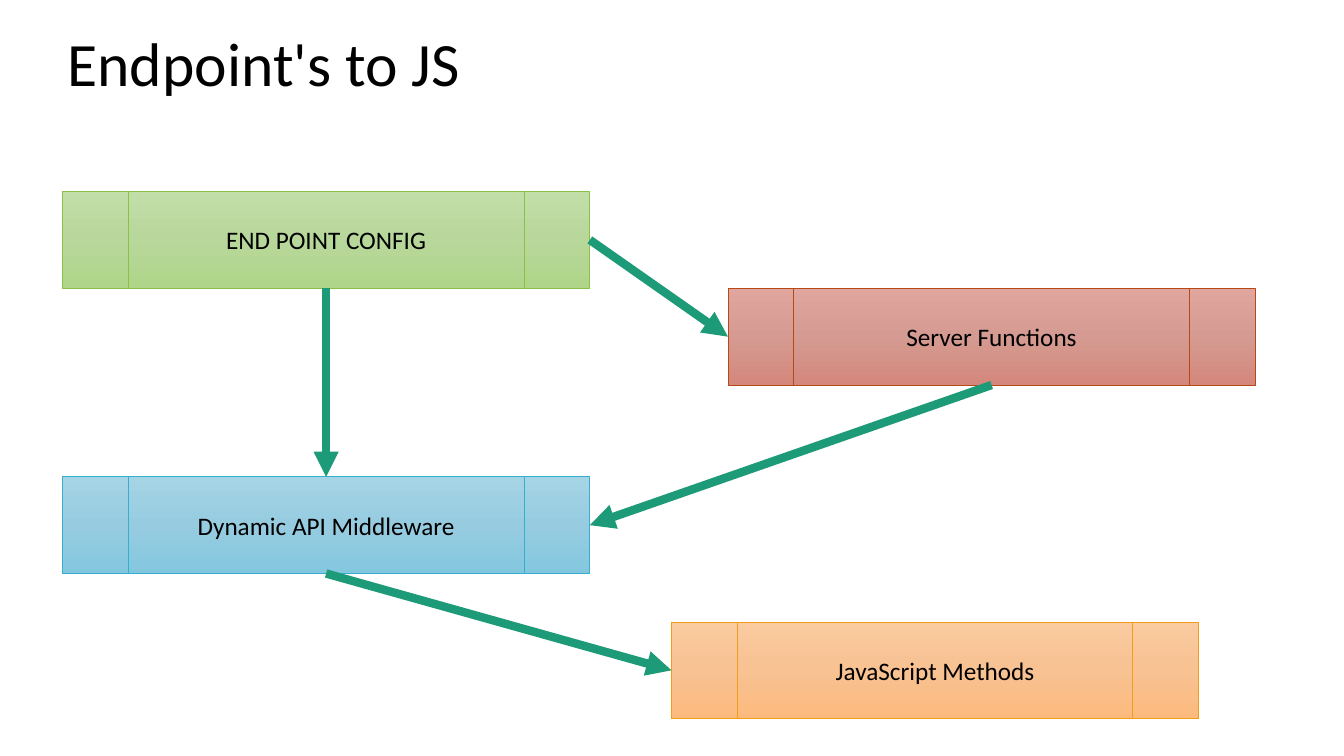
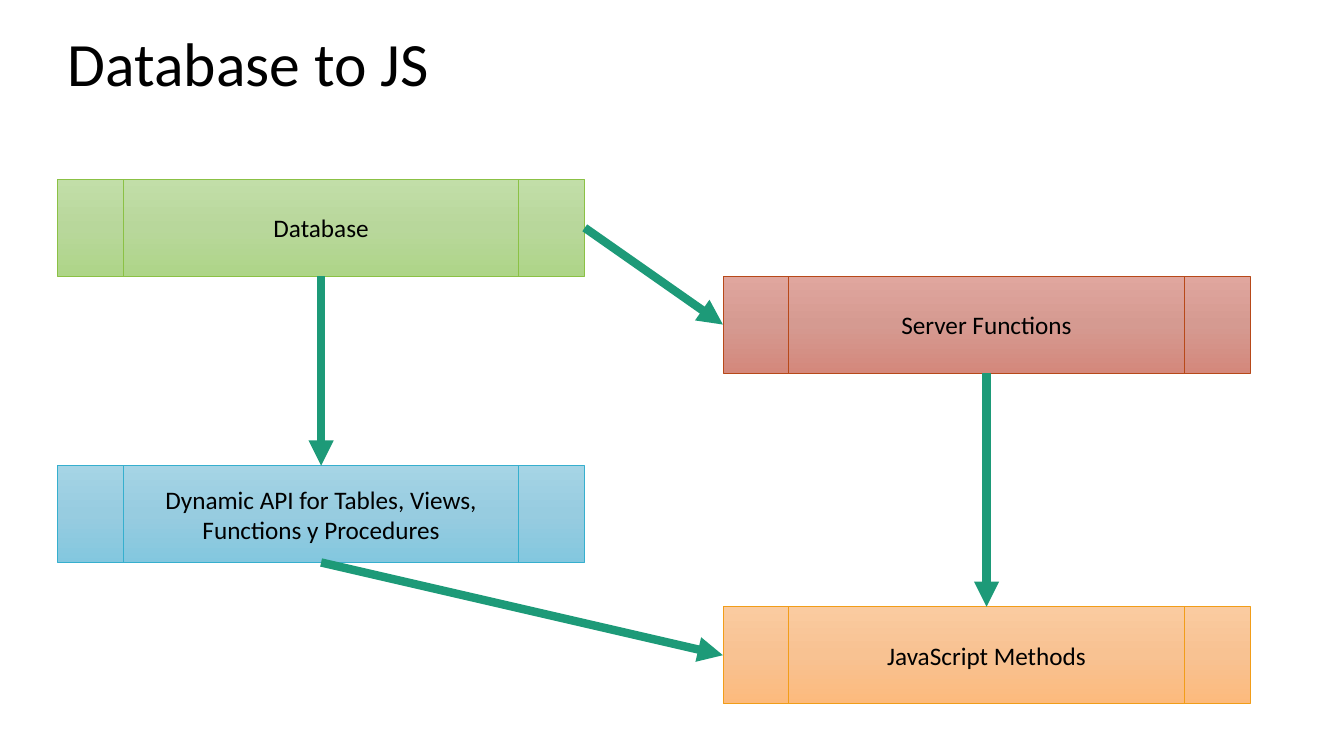
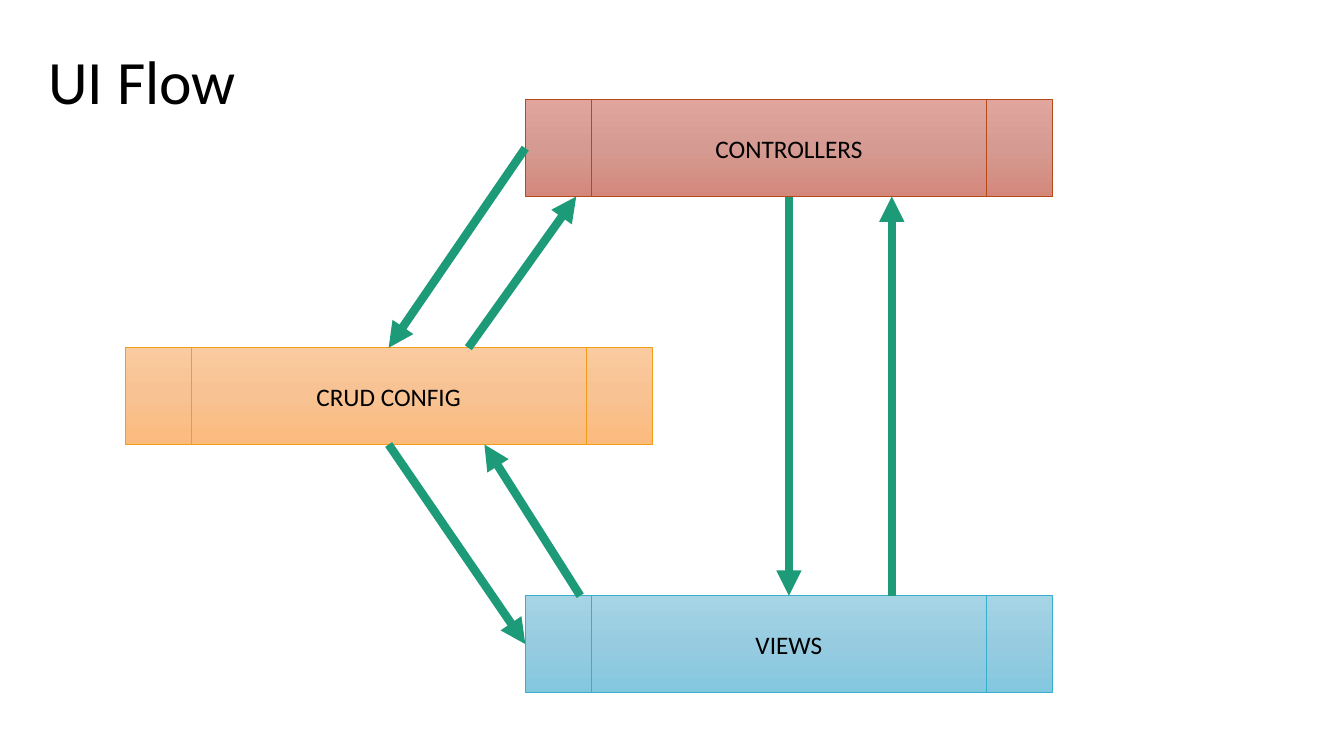
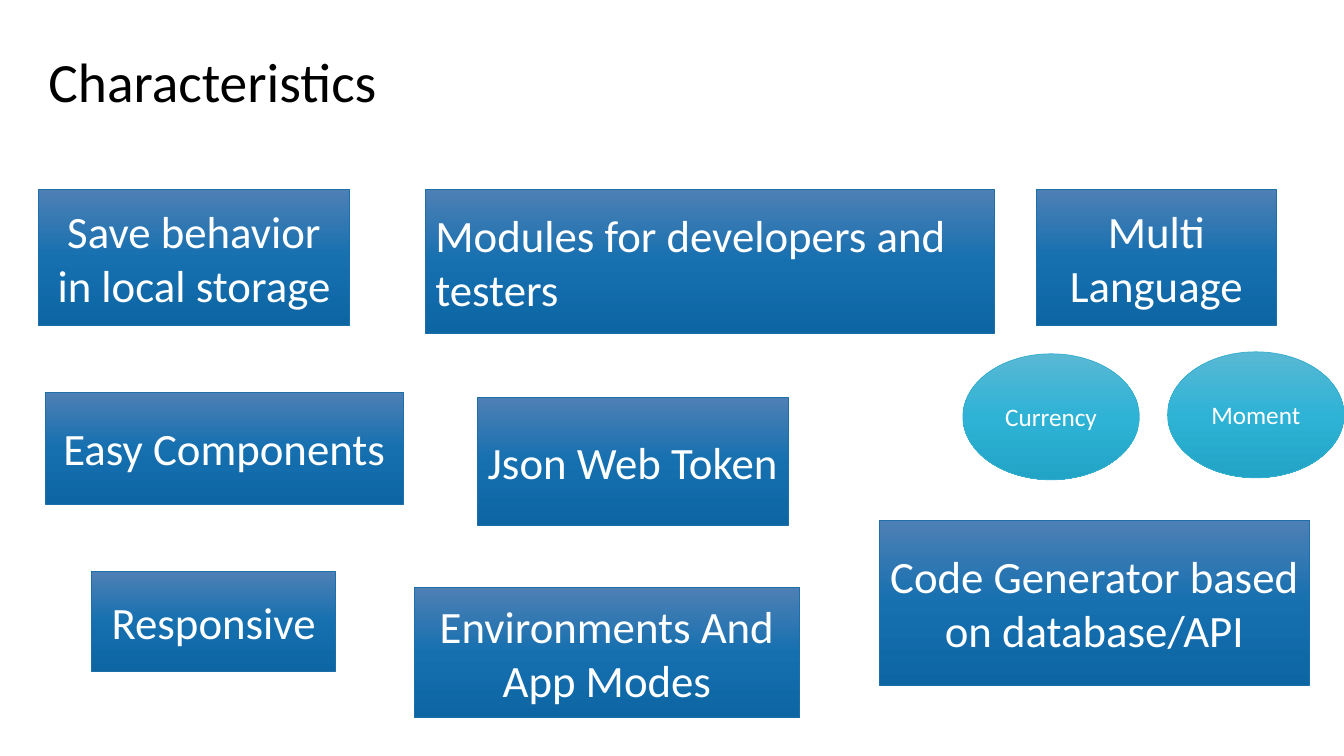
import copy
import dataclasses

import lxml.etree
import pptx
import pptx.dml.color
import pptx.enum.shapes
import pptx.enum.text
import pptx.oxml.ns
import pptx.util

Inches = pptx.util.Inches
Pt = pptx.util.Pt
RGB = pptx.dml.color.RGBColor.from_string
qn = pptx.oxml.ns.qn
Shape = pptx.enum.shapes.MSO_SHAPE
Align = pptx.enum.text.PP_ALIGN
Anchor = pptx.enum.text.MSO_ANCHOR

TOP, LEFT, BOTTOM, RIGHT = range(4)


@dataclasses.dataclass(frozen=True)
class Tone:
    stops: tuple
    line: str
    ink: str = "000000"


@dataclasses.dataclass(frozen=True)
class Theme:
    font: str = "Calibri"
    ink: str = "000000"
    arrow: str = "1D9A78"
    head: float = 44
    small: float = 18
    large: float = 32
    thin: float = 0.5
    thick: float = 6
    green: Tone = Tone(("C2DEA8", "B8D79B", "AED588"), "8BC145")
    blue: Tone = Tone(("A5D4E5", "97CCE0", "83C7DF"), "36AFCE")
    red: Tone = Tone(("E0A69E", "D59A91", "D4887C"), "B74919")
    orange: Tone = Tone(("FACBA0", "F8C292", "FCBA7D"), "F19D19")
    navy: Tone = Tone(("4E80B5", "1670B0", "0D65A3"), "1D6FA9", "FFFFFF")
    cyan: Tone = Tone(("59B8D4", "2EB3D6", "21A4C6"), "36AFCE", "FFFFFF")


class Deck:
    def __init__(self):
        self.theme = Theme()
        self.show = pptx.Presentation()
        self.show.slide_width = Inches(13.33)
        self.show.slide_height = Inches(7.5)
        self.slide = None

    def label(self, frame, text, size, color, align):
        frame.text = text
        frame.word_wrap = True
        frame.auto_size = pptx.enum.text.MSO_AUTO_SIZE.NONE
        frame.vertical_anchor = Anchor.MIDDLE
        para = frame.paragraphs[0]
        para.alignment = align
        font = para.runs[0].font
        font.name = self.theme.font
        font.size = Pt(size)
        font.color.rgb = RGB(color)

    def page(self, text, left, top, width, size=None):
        self.slide = self.show.slides.add_slide(self.show.slide_layouts[5])
        title = self.slide.shapes.title
        title.left, title.top = Inches(left), Inches(top)
        title.width, title.height = Inches(width), Inches(0.9)
        self.label(title.text_frame, text, size or self.theme.head,
                   self.theme.ink, Align.LEFT)
        title.text_frame.paragraphs[0].line_spacing = 0.9

    def shade(self, shape, tone):
        shape.fill.gradient()
        shape.fill.gradient_angle = 270
        stops = shape._element.spPr.find(".//" + qn("a:gsLst"))
        stops.insert(1, copy.deepcopy(stops[0]))
        for stop, place, color in zip(shape.fill.gradient_stops,
                                      (0, 0.5, 1), tone.stops):
            stop.position = place
            stop.color.rgb = RGB(color)

    def shape(self, kind, text, area, tone, size, align=Align.CENTER):
        shape = self.slide.shapes.add_shape(kind, *map(Inches, area))
        shape.shadow.inherit = False
        self.shade(shape, tone)
        shape.line.color.rgb = RGB(tone.line)
        shape.line.width = Pt(self.theme.thin)
        self.label(shape.text_frame, text, size, tone.ink, align)
        return shape

    def step(self, text, left, top, tone):
        return self.shape(Shape.FLOWCHART_PREDEFINED_PROCESS, text,
                          (left, top, 5.23, 0.96), tone, self.theme.small)

    def tile(self, text, *area, align=Align.CENTER):
        self.shape(Shape.RECTANGLE, text, area, self.theme.navy,
                   self.theme.large, align)

    def oval(self, text, left, top):
        self.shape(Shape.OVAL, text, (left, top, 1.75, 1.25),
                   self.theme.cyan, self.theme.small)

    def spot(self, box, side, shift):
        across = {LEFT: 0, RIGHT: box.width}.get(side, box.width // 2)
        down = {TOP: 0, BOTTOM: box.height}.get(side, box.height // 2)
        return box.left + across + Inches(shift), box.top + down

    def arrow(self, first, out, last, into, leave=0, reach=0):
        line = self.slide.shapes.add_connector(
            pptx.enum.shapes.MSO_CONNECTOR.STRAIGHT,
            *self.spot(first, out, leave), *self.spot(last, into, reach))
        if not leave:
            line.begin_connect(first, out)
        if not reach:
            line.end_connect(last, into)
        line.line.color.rgb = RGB(self.theme.arrow)
        line.line.width = Pt(self.theme.thick)
        props = line._element.spPr
        lxml.etree.SubElement(props.find(qn("a:ln")), qn("a:tailEnd"),
                              type="triangle")
        lxml.etree.SubElement(props, qn("a:effectLst"))


def endpoints(deck):
    theme = deck.theme
    deck.page("Endpoint's to JS", 0.57, 0.21, 6.8)
    config = deck.step("END POINT CONFIG", 0.62, 1.9, theme.green)
    middle = deck.step("Dynamic API Middleware", 0.62, 4.73, theme.blue)
    server = deck.step("Server Functions", 7.22, 2.86, theme.red)
    script = deck.step("JavaScript Methods", 6.66, 6.17, theme.orange)
    deck.arrow(config, BOTTOM, middle, TOP)
    deck.arrow(config, RIGHT, server, LEFT)
    deck.arrow(server, BOTTOM, middle, RIGHT)
    deck.arrow(middle, BOTTOM, script, LEFT)


def database(deck):
    theme = deck.theme
    deck.page("Database to JS", 0.57, 0.21, 6.8)
    data = deck.step("Database", 0.57, 1.78, theme.green)
    api = deck.step("Dynamic API for Tables, Views, Functions y Procedures",
                    0.57, 4.62, theme.blue)
    server = deck.step("Server Functions", 7.17, 2.74, theme.red)
    script = deck.step("JavaScript Methods", 7.17, 6.02, theme.orange)
    deck.arrow(data, BOTTOM, api, TOP)
    deck.arrow(data, RIGHT, server, LEFT)
    deck.arrow(server, BOTTOM, script, TOP)
    deck.arrow(api, BOTTOM, script, LEFT)


def flow(deck):
    theme = deck.theme
    deck.page("UI Flow", 0.38, 0.39, 3.5)
    control = deck.step("CONTROLLERS", 5.21, 0.99, theme.red)
    config = deck.step("CRUD CONFIG", 1.24, 3.45, theme.orange)
    views = deck.step("VIEWS", 5.21, 5.91, theme.blue)
    deck.arrow(control, LEFT, config, TOP)
    deck.arrow(config, BOTTOM, views, LEFT)
    deck.arrow(control, BOTTOM, views, TOP)
    deck.arrow(views, TOP, control, BOTTOM, 1.02, 1.02)
    deck.arrow(config, TOP, control, BOTTOM, 0.79, -2.11)
    deck.arrow(views, TOP, config, BOTTOM, -2.07, 0.95)


def traits(deck):
    deck.page("Characteristics", 0.38, 0.39, 3.5, 39.6)
    deck.tile("Save behavior in local storage", 0.38, 1.88, 3.09, 1.35)
    deck.tile("Multi Language", 10.28, 1.88, 2.38, 1.35)
    deck.tile("Modules for developers and testers", 4.22, 1.88, 5.64, 1.43,
              align=Align.LEFT)
    deck.oval("Currency", 9.55, 3.51)
    deck.oval("Moment", 11.58, 3.49)
    deck.tile("Easy Components", 0.45, 3.89, 3.55, 1.11)
    deck.tile("Code Generator based on database/API", 8.72, 5.16, 4.27, 1.64)
    deck.tile("Json Web Token", 4.73, 3.94, 3.09, 1.27)
    deck.tile("Responsive", 0.91, 5.67, 2.42, 0.99)
    deck.tile("Environments And App Modes", 4.11, 5.83, 3.82, 1.29)


def main():
    deck = Deck()
    for build in (endpoints, database, flow, traits):
        build(deck)
    deck.show.save("out.pptx")


if __name__ == "__main__":
    main()
